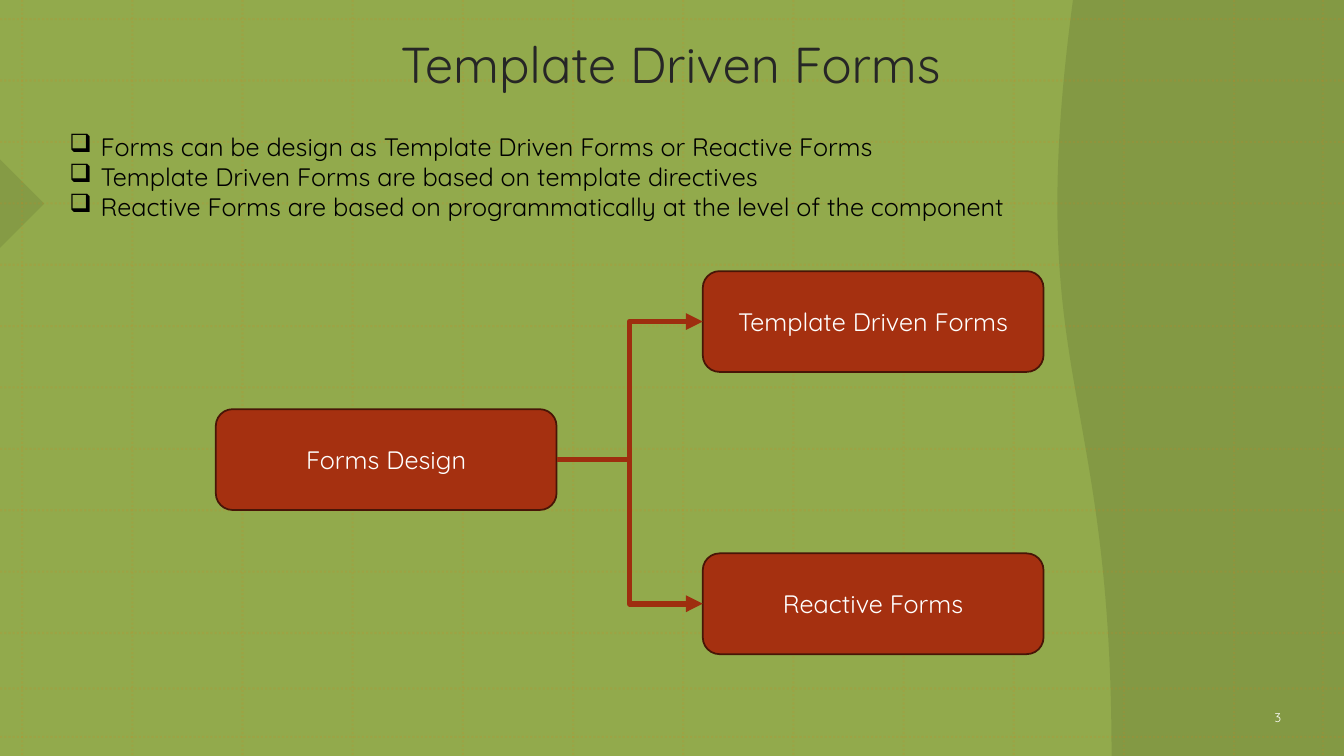
from lxml import etree
from pptx import Presentation
from pptx import util as u
from pptx.dml.color import RGBColor
from pptx.enum import dml, shapes, text
from pptx.oxml import ns


def color(value):
    return RGBColor.from_string(value)


def add_xml(parent, tag, **attributes):
    return etree.SubElement(parent, ns.qn(tag), attributes)


class FormsSlide:
    font = "Quicksand"
    ground = "92AA4C"
    shade = "495526"
    grid = "DE7E18"
    box_fill = "A53010"
    box_edge = "481507"
    arrow_color = "9E2E0F"

    def __init__(self, presentation):
        self.slide = presentation.slides.add_slide(presentation.slide_layouts[6])
        self.items = self.slide.shapes
        fill = self.slide.background.fill
        fill.solid()
        fill.fore_color.rgb = color(self.ground)

    def set_opacity(self, item, percent):
        for srgb in item._element.spPr.iter(ns.qn("a:srgbClr")):
            add_xml(srgb, "a:alpha", val=str(percent * 1000))

    def shape(self, kind, box, fill):
        item = self.items.add_shape(kind, *map(u.Inches, box))
        item.shadow.inherit = False
        item.fill.solid()
        item.fill.fore_color.rgb = color(fill)
        item.line.fill.background()
        return item

    def backdrop(self, kind, box, rotation, opacity):
        item = self.shape(kind, box, self.shade)
        item.rotation = rotation
        self.set_opacity(item, opacity)

    def connector(self, kind, start, end, stroke, width):
        item = self.items.add_connector(kind, *map(u.Inches, start + end))
        item.line.color.rgb = color(stroke)
        item.line.width = u.Pt(width)
        add_xml(item._element.spPr, "a:effectLst")
        return item

    def grid_line(self, start, end):
        item = self.connector(shapes.MSO_CONNECTOR.STRAIGHT, start, end, self.grid, 1.5)
        item.line.dash_style = dml.MSO_LINE.ROUND_DOT
        self.set_opacity(item, 15)

    def arrow(self, source, target):
        item = self.connector(shapes.MSO_CONNECTOR.ELBOW, (0, 0), (1, 1), self.arrow_color, 4)
        item.begin_connect(source, 3)
        item.end_connect(target, 1)
        add_xml(item._element.spPr.find(ns.qn("a:ln")), "a:tailEnd", type="triangle")

    def set_text(self, frame, lines, size, ink, align, anchor):
        frame.word_wrap = True
        frame.vertical_anchor = anchor
        for index, line in enumerate(lines):
            paragraph = frame.add_paragraph() if index else frame.paragraphs[0]
            paragraph.text = line
            paragraph.alignment = align
            paragraph.font.name = self.font
            paragraph.font.size = u.Pt(size)
            paragraph.font.color.rgb = color(ink)

    def text(self, box, lines, size, ink, align=text.PP_ALIGN.CENTER,
             anchor=text.MSO_ANCHOR.TOP):
        frame = self.items.add_textbox(*map(u.Inches, box)).text_frame
        self.set_text(frame, lines, size, ink, align, anchor)
        return frame

    def bullets(self, box, lines, size, ink):
        frame = self.text(box, lines, size, ink, text.PP_ALIGN.LEFT)
        indent = u.Inches(0.31)
        for paragraph in frame.paragraphs:
            properties = paragraph._p.get_or_add_pPr()
            properties.set("marL", str(indent))
            properties.set("indent", str(-indent))
            add_xml(properties, "a:buChar", char="❑")
            properties.append(properties.find(ns.qn("a:defRPr")))

    def node(self, left, top, label):
        item = self.shape(shapes.MSO_SHAPE.ROUNDED_RECTANGLE, (left, top, 3.38, 1), self.box_fill)
        item.line.color.rgb = color(self.box_edge)
        item.line.width = u.Pt(1.25)
        self.set_text(item.text_frame, [label], 18, "FFFFFF",
                      text.PP_ALIGN.CENTER, text.MSO_ANCHOR.MIDDLE)
        return item


def main():
    width, height = 13.33, 7.5
    presentation = Presentation()
    presentation.slide_width = u.Inches(width)
    presentation.slide_height = u.Inches(height)
    page = FormsSlide(presentation)

    page.backdrop(shapes.MSO_SHAPE.RIGHT_TRIANGLE, (-0.31, 1.71, 0.62, 0.62), 225, 17)
    page.backdrop(shapes.MSO_SHAPE.FLOWCHART_DOCUMENT, (8.15, 2.3, 7.5, 2.9), 90, 20)
    for x in [0.22 + 12.02 / 11 * column for column in range(12)] + [13.12]:
        page.grid_line((x, 0), (x, height))
    for y in [0.19 + 6.09 / 10 * row for row in range(11)] + [6.83, 7.31]:
        page.grid_line((0, y), (width, y))

    page.text((0.33, 0.28, 12.78, 0.97), ["Template Driven Forms "], 36, "262626")
    page.text((12.24, 6.92, 0.87, 0.4), ["3"], 9, "FFFFFF", anchor=text.MSO_ANCHOR.MIDDLE)
    page.bullets((0.59, 1.25, 11.79, 1.01), [
        "Forms can be design as Template Driven Forms or Reactive Forms",
        "Template Driven Forms are based on template directives",
        "Reactive Forms are based on programmatically at the level of the component",
    ], 18, "000000")

    forms_design = page.node(2.14, 4.06, "Forms Design")
    for top, label in ((2.69, "Template Driven Forms"), (5.49, "Reactive Forms")):
        page.arrow(forms_design, page.node(6.97, top, label))

    presentation.save("out.pptx")


if __name__ == "__main__":
    main()
